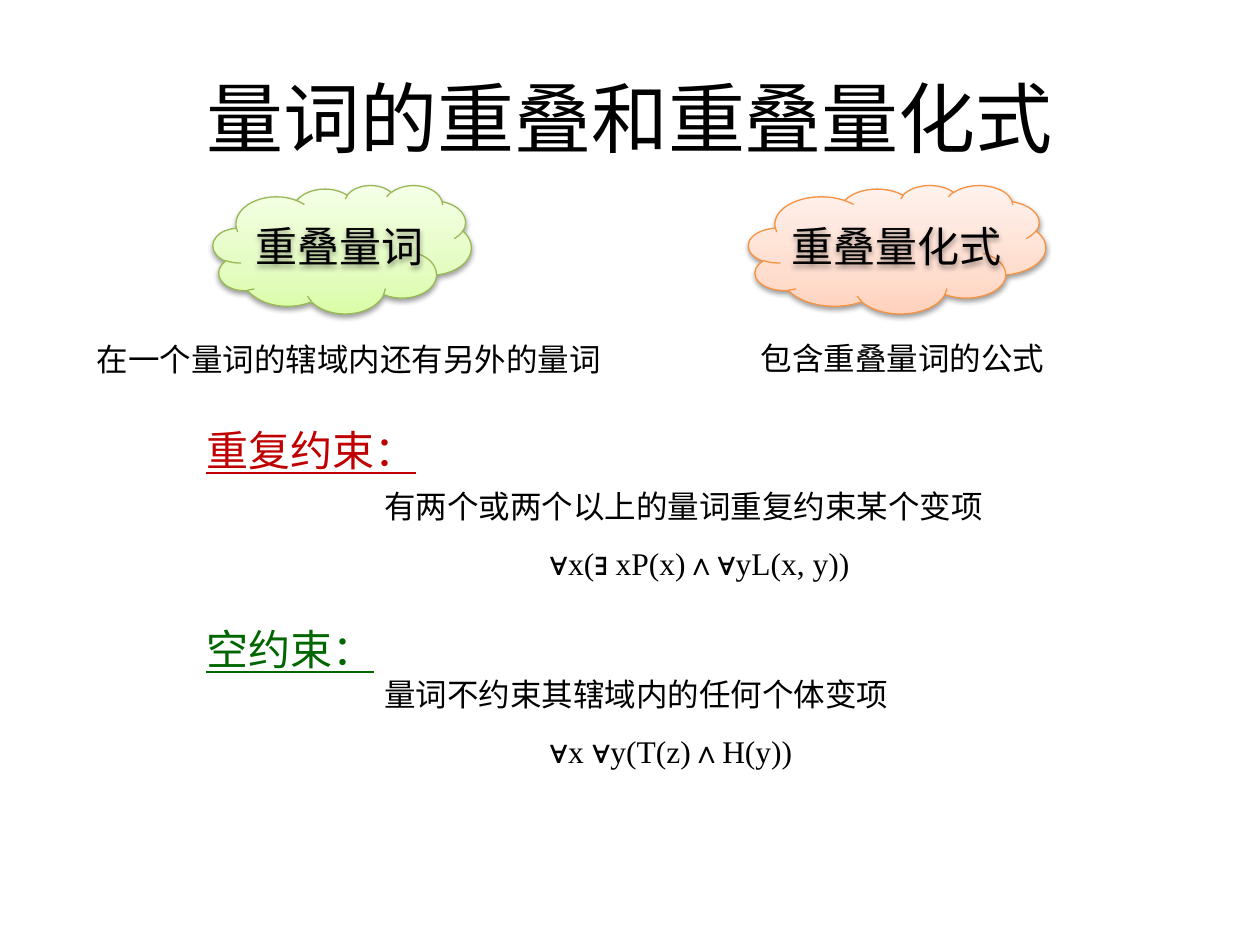
from lxml.etree import SubElement
from pptx import Presentation
from pptx.dml.color import RGBColor
from pptx.enum.shapes import MSO_SHAPE
from pptx.enum.text import MSO_ANCHOR, PP_ALIGN
from pptx.oxml.ns import qn
from pptx.util import Pt

COLORS = {
    "black": "000000",
    "red": "C00000",
    "green": "006600",
    "lime": ("98B955", "DAFDA7", "E4FCC2", "F5FFE7"),
    "peach": ("F69240", "FFD2BD", "FFDED0", "FFF2ED"),
}
SANS = "Noto Sans CJK SC"
SERIF = "Times New Roman"


def style(para, size, color="black", face=SANS, line=False):
    """Format every run of a paragraph, with its East Asian font."""
    for run in para.runs:
        font = run.font
        font.size, font.name = Pt(size), face
        font.underline = line or None
        font.color.rgb = RGBColor.from_string(COLORS[color])
        asian = SANS if face == SERIF else face
        SubElement(font._element, qn("a:ea"), typeface=asian)


def add_text(shapes, text, left, top, width, height, size, **look):
    """Add a wrapped text box of one paragraph."""
    box = shapes.add_textbox(Pt(left), Pt(top), Pt(width), Pt(height))
    box.text_frame.word_wrap = True
    box.text_frame.text = text
    style(box.text_frame.paragraphs[0], size, **look)
    return box


def add_title(shapes, text):
    """Add the centred slide title."""
    box = add_text(shapes, text, 36, 21.6, 648, 90, 44, face="Noto Sans CJK JP")
    box.text_frame.vertical_anchor = MSO_ANCHOR.MIDDLE
    box.text_frame.paragraphs[0].alignment = PP_ALIGN.CENTER


def add_shadow(shape):
    """Give a shape a soft shadow below it."""
    shape.shadow.inherit = False
    effects = shape._element.spPr.find(qn("a:effectLst"))
    outer = SubElement(effects, qn("a:outerShdw"), blurRad="40000",
                       dist="20000", dir="5400000", rotWithShape="0")
    tint = SubElement(outer, qn("a:srgbClr"), val=COLORS["black"])
    SubElement(tint, qn("a:alpha"), val="38000")


def add_cloud(shapes, text, left, width, hue):
    """Add a group of a shaded cloud and its label."""
    group = shapes.add_group_shape().shapes
    cloud = group.add_shape(MSO_SHAPE.CLOUD, Pt(left), Pt(105.8), Pt(width), Pt(73.4))
    edge, *tints = COLORS[hue]
    cloud.line.color.rgb = RGBColor.from_string(edge)
    cloud.line.width = Pt(0.75)
    cloud.fill.gradient()
    cloud.fill.gradient_angle = 90
    stops = cloud._element.spPr.find(".//" + qn("a:gsLst"))
    stops.clear()
    for place, tint in zip((0, 35, 100), tints):
        stop = SubElement(stops, qn("a:gs"), pos=str(place * 1000))
        SubElement(stop, qn("a:srgbClr"), val=tint)
    label = add_text(group, text, left + 17.3, 122.4, 141.8, 36, 24)
    for part in (cloud, label):
        add_shadow(part)


def add_rule(shapes, head, color, top, text, body, formula):
    """Add an underlined heading, its meaning and an indented formula."""
    add_text(shapes, head, 110.9, top, 193, 36, 24, color=color, line=True)
    box = add_text(shapes, text, 212.4, body, 402.5, 72.7, 18)
    last = box.text_frame.add_paragraph()
    last.text = formula
    last._p.get_or_add_pPr().set("marL", str(Pt(94.5)))
    style(last, 18, face=SERIF)
    for para in box.text_frame.paragraphs:
        para.line_spacing = 1.5


def main():
    """Build and save the slide."""
    deck = Presentation()
    deck.slide_width, deck.slide_height = Pt(720), Pt(540)
    shapes = deck.slides.add_slide(deck.slide_layouts[6]).shapes
    add_title(shapes, "量词的重叠和重叠量化式")
    add_cloud(shapes, "重叠量词", 121.7, 147.6, "lime")
    add_text(shapes, "在一个量词的辖域内还有另外的量词", 48.2, 190.8, 351.4, 28.8, 18)
    add_cloud(shapes, "重叠量化式", 427.7, 169.9, "peach")
    add_text(shapes, "包含重叠量词的公式", 427.7, 190, 193, 28.8, 18)
    add_rule(shapes, "重复约束：", "red", 239, "有两个或两个以上的量词重复约束某个变项",
             264.2, "∀x(∃ xP(x)∧∀yL(x, y))")
    add_rule(shapes, "空约束：", "green", 352.8, "量词不约束其辖域内的任何个体变项",
             371.5, "∀x ∀y(T(z)∧H(y))")
    deck.save("out.pptx")


if __name__ == "__main__":
    main()
